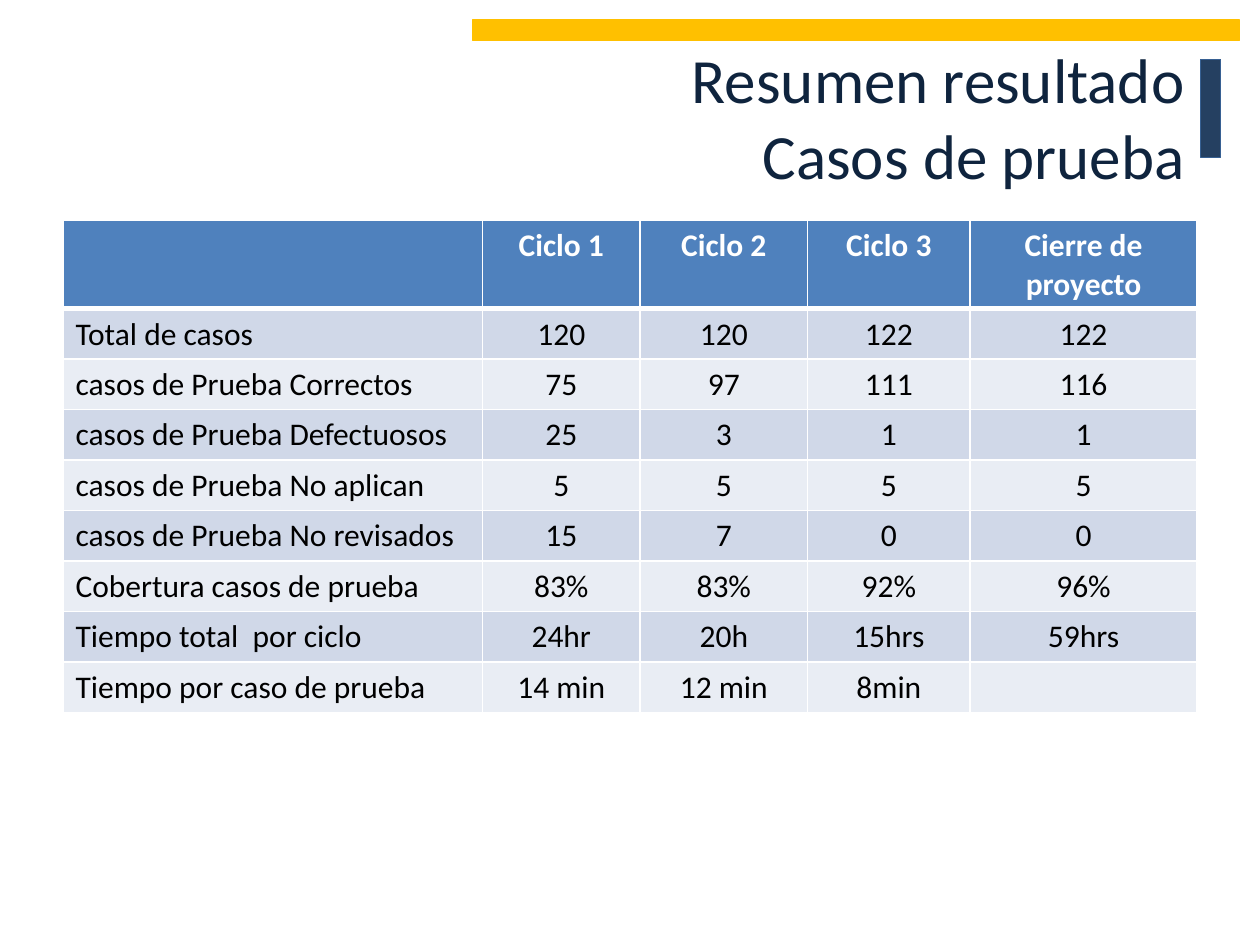
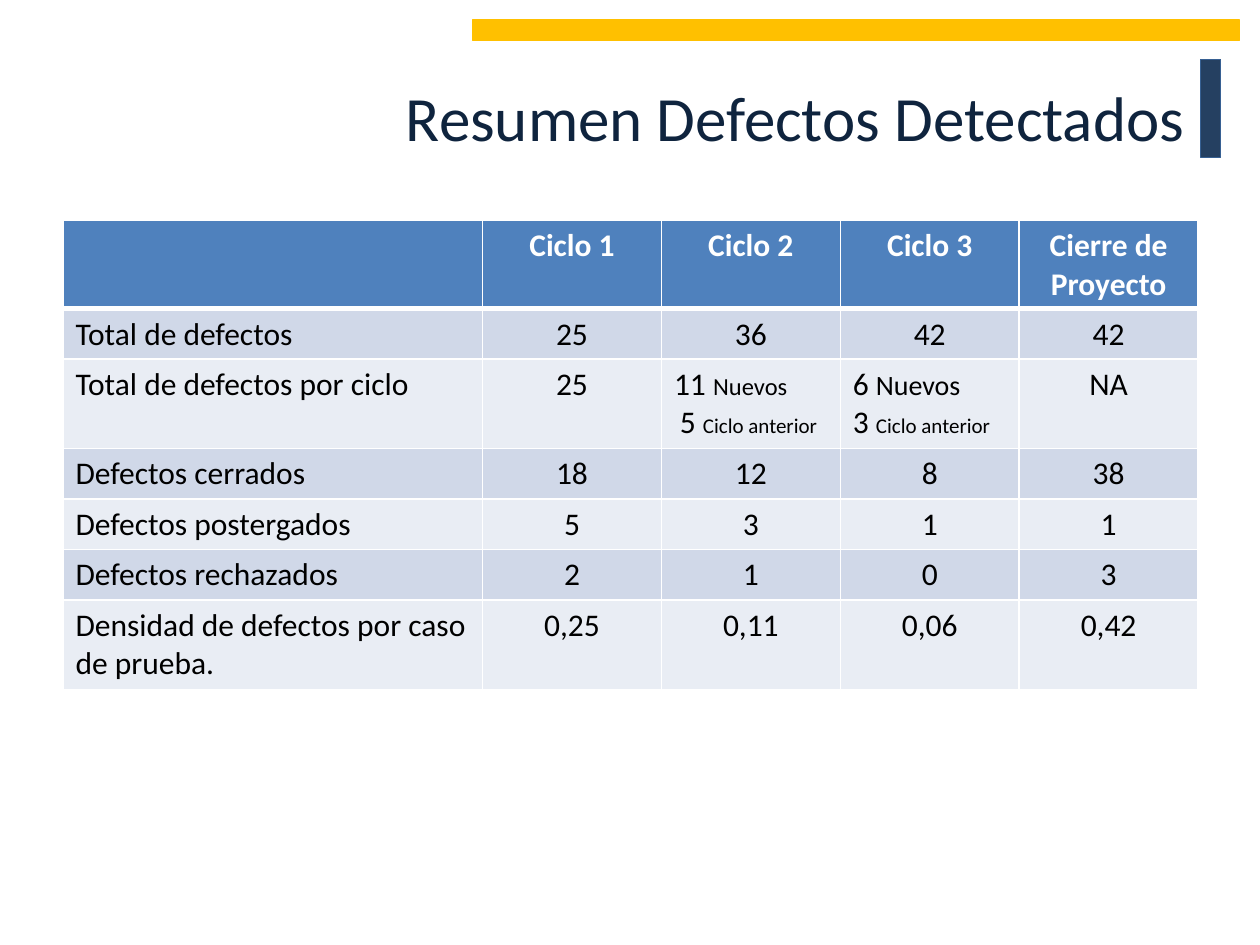
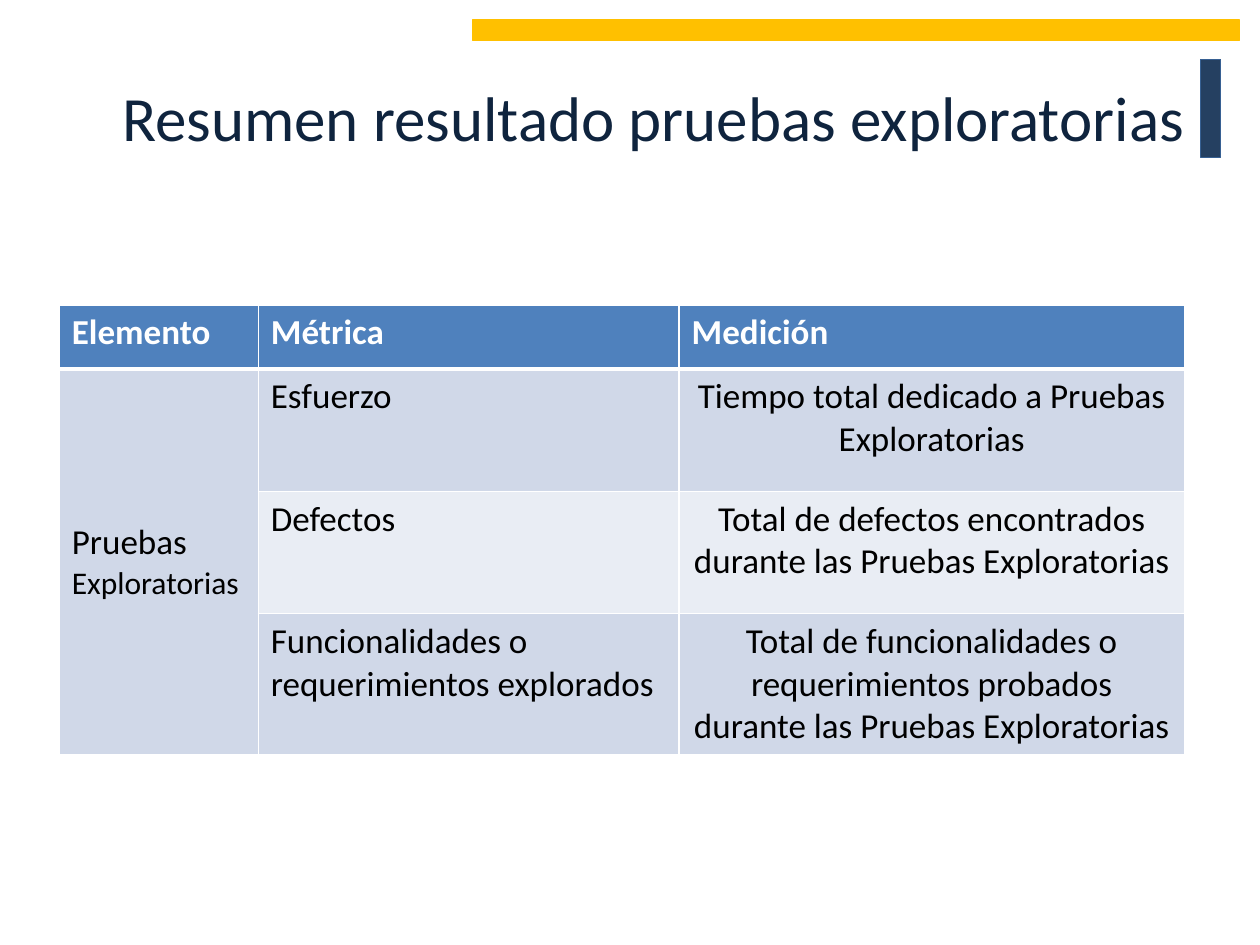
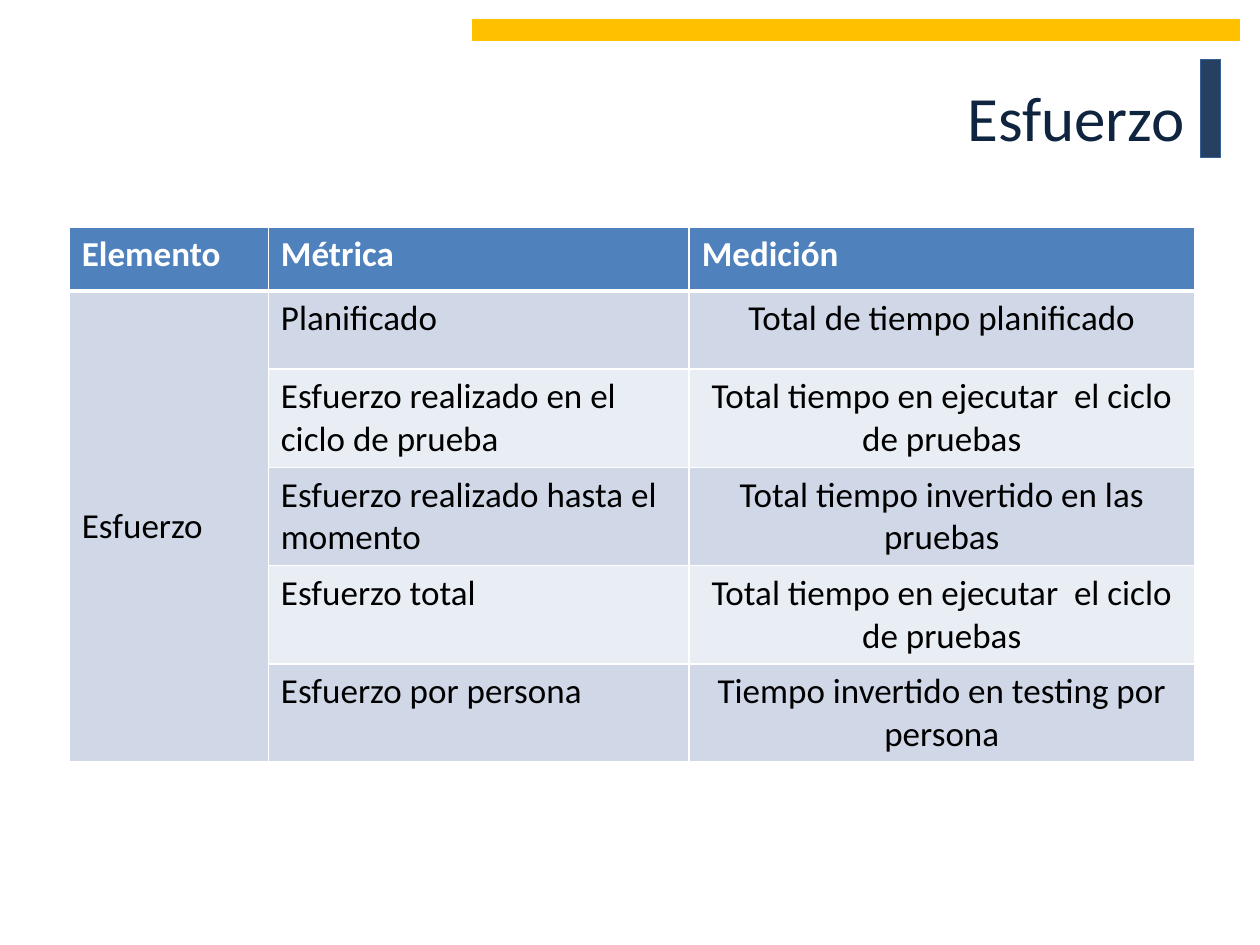
"""Build the four test-summary slides and save the deck."""
from dataclasses import dataclass
from typing import NamedTuple, Sequence, Union

from lxml.etree import SubElement
from pptx import Presentation
from pptx.dml.color import RGBColor as Rgb
from pptx.enum.shapes import MSO_SHAPE as Preset
from pptx.enum.text import MSO_ANCHOR as Anchor, PP_ALIGN as Align
from pptx.oxml.ns import qn
from pptx.util import Inches, Pt


@dataclass(frozen=True)
class Theme:
    font: str = "Calibri"
    title: str = "0F243E"
    white: str = "FFFFFF"
    black: str = "000000"
    header: str = "4F81BD"
    bands: tuple = ("D0D8E8", "E9EDF4")
    title_size: float = 36
    number_size: float = 18
    metric_size: float = 20
    grid_line: float = 1
    header_line: float = 3


class Bar(NamedTuple):
    left: float
    top: float
    width: float
    height: float
    fill: str
    line: str


class Span(NamedTuple):
    text: str
    size: float


class Para(NamedTuple):
    spans: tuple
    align: Align = Align.LEFT


Content = Union[str, Sequence[Para]]


@dataclass(frozen=True)
class Grid:
    left: float
    top: float
    columns: tuple
    heights: tuple
    rows: tuple
    size: float
    centred: tuple
    centred_header: bool = False
    merged_first: bool = False


@dataclass(frozen=True)
class Page:
    title: str
    grid: Grid


THEME = Theme()
BARS = (
    Bar(9.53, 0.47, 0.16, 0.78, "254061", "376092"),
    Bar(3.75, 0.16, 6.09, 0.16, "FFC000", "FFC000"),
)
NUMBER_COLUMNS = (1, 2, 3, 4)
METRIC_COLUMNS = (1.58, 3.34, 4.01)
METRIC_HEADER = ("Elemento", "Métrica", "Medición")


def write(frame, content: Content, *, size: float, color: str,
          bold: bool = False, align: Align = Align.LEFT) -> None:
    """Fill a text frame; a newline in the text is a line break."""
    paras = [Para((Span(content, size),), align)] if isinstance(content, str) else content
    for index, para in enumerate(paras):
        target = frame.add_paragraph() if index else frame.paragraphs[0]
        target.alignment = para.align
        for span in para.spans:
            for number, line in enumerate(span.text.split("\n")):
                if number:
                    target.add_line_break()
                run = target.add_run()
                run.text = line
                run.font.name = THEME.font
                run.font.size = Pt(span.size)
                run.font.bold = bold
                run.font.color.rgb = Rgb.from_string(color)


def draw_bar(page, bar: Bar) -> None:
    """Draw one decorative bar."""
    shape = page.shapes.add_shape(Preset.RECTANGLE, *map(Inches, bar[:4]))
    shape.shadow.inherit = False
    shape.fill.solid()
    shape.fill.fore_color.rgb = Rgb.from_string(bar.fill)
    shape.line.color.rgb = Rgb.from_string(bar.line)
    shape.line.width = Pt(0.75)


def draw_title(page, text: str) -> None:
    """Draw the right-aligned slide title."""
    box = page.shapes.add_textbox(Inches(0.5), Inches(0.3), Inches(9), Inches(1.25))
    box.text_frame.word_wrap = True
    box.text_frame.vertical_anchor = Anchor.MIDDLE
    write(box.text_frame, text, size=THEME.title_size, color=THEME.title, align=Align.RIGHT)


def style_cell(cell, row: int) -> None:
    """Set the fill and the white borders of a cell."""
    fill = THEME.bands[(row - 1) % 2] if row else THEME.header
    cell.fill.solid()
    cell.fill.fore_color.rgb = Rgb.from_string(fill)
    properties = cell._tc.get_or_add_tcPr()
    for index, side in enumerate("LRTB"):
        thick = (row, side) in ((0, "B"), (1, "T"))
        width = THEME.header_line if thick else THEME.grid_line
        line = SubElement(properties, qn(f"a:ln{side}"), w=str(Pt(width)))
        solid = SubElement(line, qn("a:solidFill"))
        SubElement(solid, qn("a:srgbClr"), val=THEME.white)
        properties.insert(index, line)


def draw_grid(page, grid: Grid) -> None:
    """Draw a banded table with a coloured header row."""
    frame = page.shapes.add_table(
        len(grid.rows), len(grid.columns), Inches(grid.left), Inches(grid.top),
        Inches(sum(grid.columns)), Inches(sum(grid.heights)))
    table = frame.table
    table.horz_banding = False
    for column, width in zip(table.columns, grid.columns):
        column.width = Inches(width)
    for row, (values, height) in enumerate(zip(grid.rows, grid.heights)):
        table.rows[row].height = Inches(height)
        for column, value in enumerate(values):
            cell = table.cell(row, column)
            style_cell(cell, row)
            centred = column in grid.centred and (row > 0 or grid.centred_header)
            if value:
                write(cell.text_frame, value, size=grid.size, bold=row == 0,
                      color=THEME.black if row else THEME.white,
                      align=Align.CENTER if centred else Align.LEFT)
    if grid.merged_first:
        first = table.cell(1, 0)
        first.merge(table.cell(len(grid.rows) - 1, 0))
        first.vertical_anchor = Anchor.MIDDLE


def number_grid(columns: tuple, heights: tuple, rows: tuple) -> Grid:
    """Describe a table of figures per cycle."""
    return Grid(0.5, 1.75, columns, heights, rows, THEME.number_size,
                NUMBER_COLUMNS, centred_header=True)


def metric_grid(left: float, top: float, heights: tuple, element: Content,
                metrics: tuple) -> Grid:
    """Describe a table of metrics that belong to one element."""
    body = tuple(("" if index else element, *metric) for index, metric in enumerate(metrics))
    return Grid(left, top, METRIC_COLUMNS, heights, (METRIC_HEADER, *body),
                THEME.metric_size, (2,), merged_first=True)


def cycle_note(new: str, new_size: float, previous: str, align: Align) -> tuple:
    """Describe a cell with new defects and those of the cycle before."""
    size = THEME.number_size
    return (
        Para((Span(f"{new} ", size), Span("Nuevos", new_size))),
        Para((Span(f"{previous} ", size), Span("Ciclo anterior ", 12)), align),
    )


PAGES = (
    Page("Resumen resultado\nCasos de prueba", number_grid(
        (3.33, 1.25, 1.33, 1.29, 1.8), (0.7, *[0.4] * 8), (
            ("", "Ciclo 1", "Ciclo 2", "Ciclo 3", "Cierre de proyecto"),
            ("Total de casos", "120", "120", "122", "122"),
            ("casos de Prueba Correctos", "75", "97", "111", "116"),
            ("casos de Prueba Defectuosos", "25", "3", "1", "1"),
            ("casos de Prueba No aplican", "5", "5", "5", "5"),
            ("casos de Prueba No revisados", "15", "7", "0", "0"),
            ("Cobertura casos de prueba", "83%", "83%", "92%", "96%"),
            ("Tiempo total  por ciclo", "24hr", "20h", "15hrs", "59hrs"),
            ("Tiempo por caso de prueba", "14 min", "12 min", "8min", ""),
        ))),
    Page("Resumen Defectos Detectados", number_grid(
        (3.33, *[1.42] * 4), (0.7, 0.4, 0.71, 0.4, 0.4, 0.4, 0.71), (
            ("", "Ciclo 1", "Ciclo 2", "Ciclo 3", "Cierre de Proyecto"),
            ("Total de defectos", "25", "36", "42", "42"),
            ("Total de defectos por ciclo", "25", cycle_note("11", 14, "5", Align.CENTER),
             cycle_note("6", 16, "3", Align.LEFT), "NA"),
            ("Defectos cerrados", "18", "12", "8", "38"),
            ("Defectos postergados", "5", "3", "1", "1"),
            ("Defectos rechazados", "2", "1", "0", "3"),
            ("Densidad de defectos por caso de prueba.", "0,25", "0,11", "0,06", "0,42"),
        ))),
    Page("Resumen resultado pruebas exploratorias", metric_grid(
        0.47, 2.42, (0.51, 0.97, 0.97, 1.12),
        (Para((Span("Pruebas ", 20), Span("Exploratorias", 18))),), (
            ("Esfuerzo", "Tiempo total dedicado a Pruebas Exploratorias"),
            ("Defectos", "Total de defectos encontrados durante las Pruebas Exploratorias"),
            ("Funcionalidades o requerimientos explorados",
             "Total de funcionalidades o requerimientos probados "
             "durante las Pruebas Exploratorias"),
        ))),
    Page("Esfuerzo", metric_grid(
        0.55, 1.8, (0.51, 0.62, *[0.78] * 4), "Esfuerzo", (
            ("Planificado", "Total de tiempo planificado"),
            ("Esfuerzo realizado en el ciclo de prueba",
             "Total tiempo en ejecutar  el ciclo de pruebas"),
            ("Esfuerzo realizado hasta el momento", "Total tiempo invertido en las pruebas"),
            ("Esfuerzo total", "Total tiempo en ejecutar  el ciclo de pruebas"),
            ("Esfuerzo por persona", "Tiempo invertido en testing por persona"),
        ))),
)


def build() -> None:
    """Draw every page and save the deck."""
    deck = Presentation()
    deck.slide_width, deck.slide_height = Inches(10), Inches(7.5)
    for content in PAGES:
        page = deck.slides.add_slide(deck.slide_layouts[6])
        for bar in BARS:
            draw_bar(page, bar)
        draw_title(page, content.title)
        draw_grid(page, content.grid)
    deck.save("out.pptx")


build()
